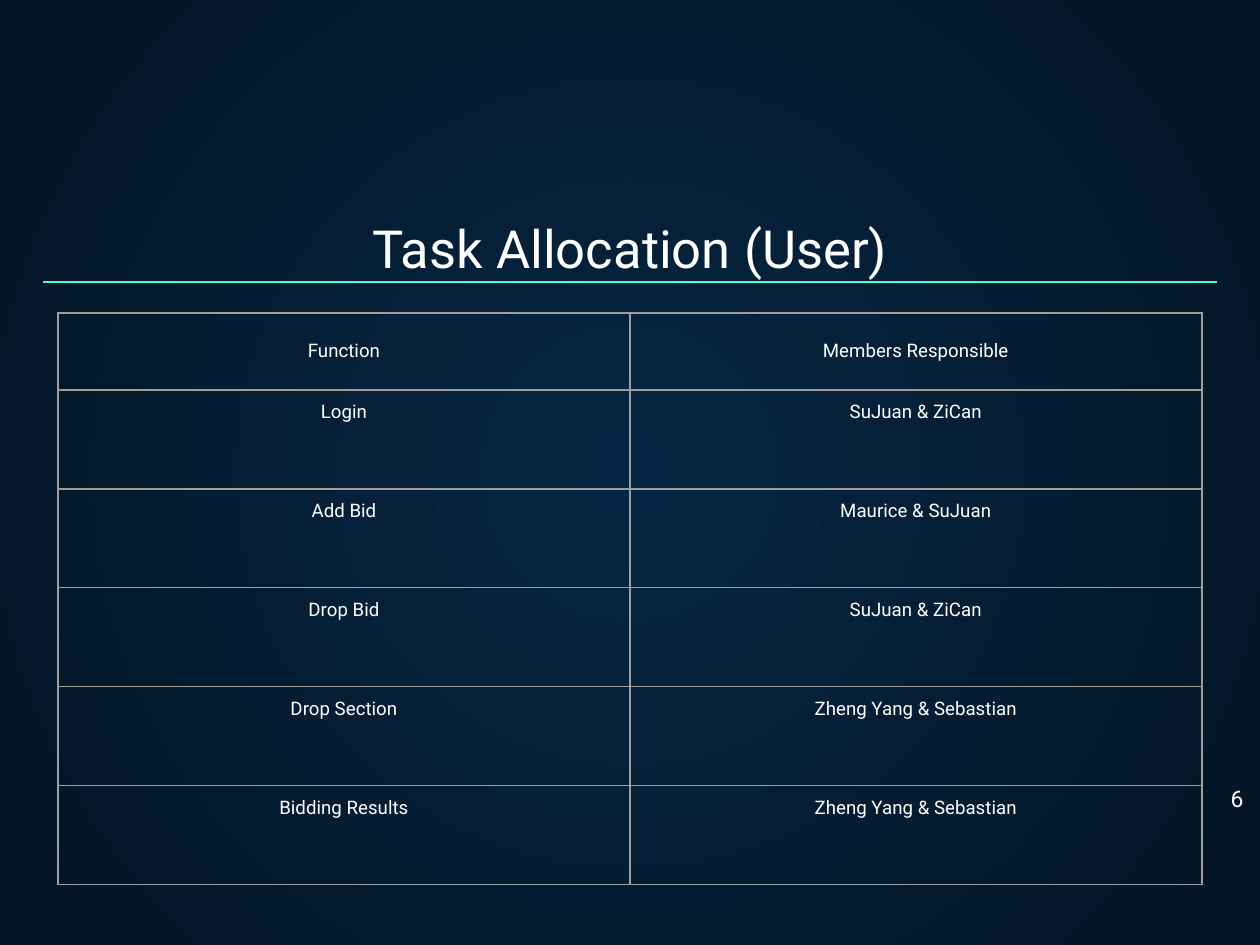
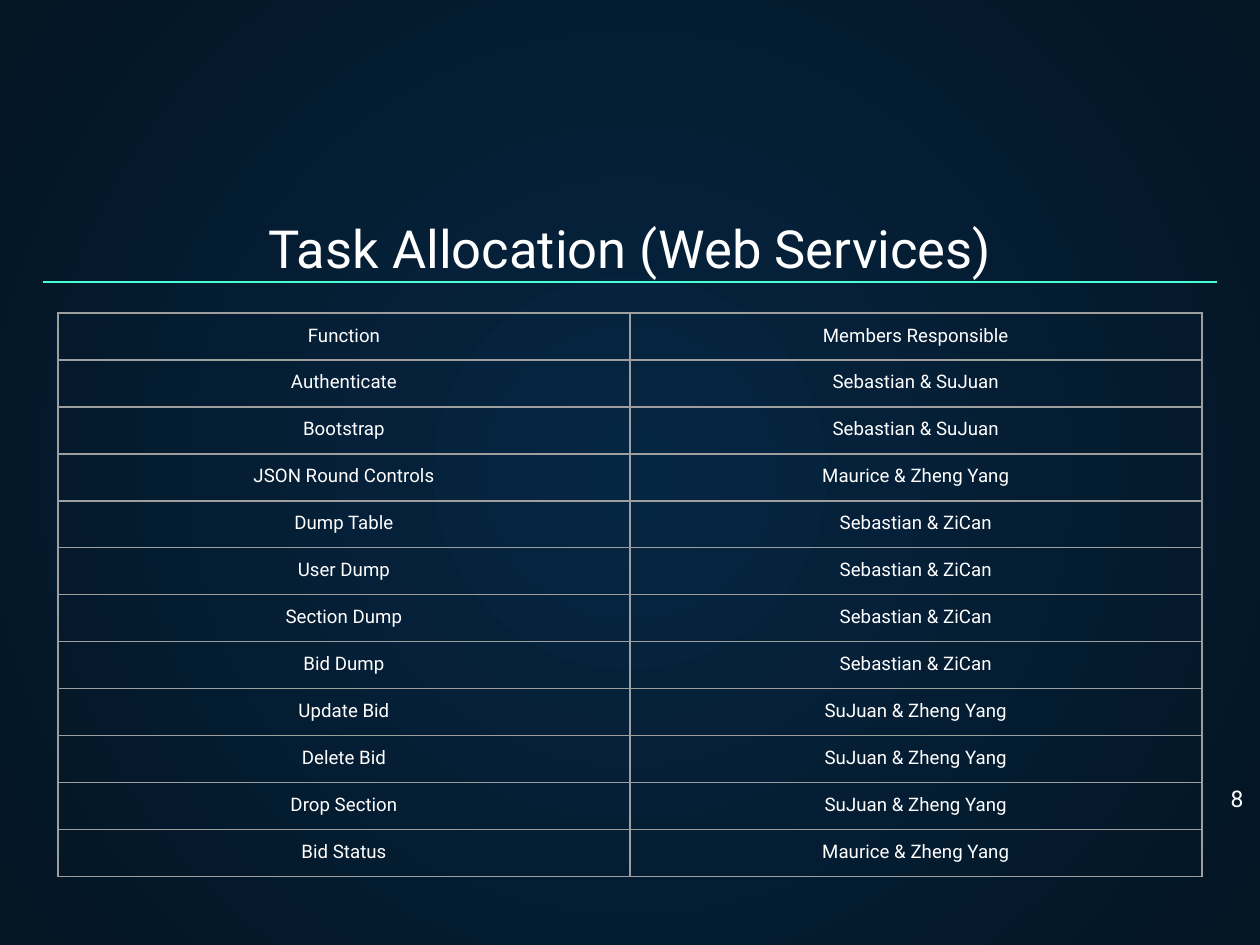
"""Build the two task allocation slides."""
import pptx
import pptx.dml.color
import pptx.enum.shapes
import pptx.enum.text
import pptx.oxml
import pptx.oxml.ns
import pptx.util

Pt = pptx.util.Pt
Align = pptx.enum.text.PP_ALIGN
Anchor = pptx.enum.text.MSO_ANCHOR
WHITE, MINT, GREY = "FFFFFF", "48FFD5", "9E9E9E"
GLOW, NIGHT = "052643", "041523"
NAMESPACE = pptx.oxml.ns.nsdecls("a")


def color(hex_text):
    return pptx.dml.color.RGBColor.from_string(hex_text)


def write(holder, text, size=8, align=Align.CENTER, anchor=Anchor.TOP):
    """Fill a text frame or a table cell with one formatted paragraph."""
    holder.margin_left = holder.margin_right = Pt(5)
    holder.margin_top = holder.margin_bottom = Pt(5)
    holder.vertical_anchor = anchor
    holder.word_wrap = True
    para = getattr(holder, "text_frame", holder).paragraphs[0]
    para.alignment = align
    span = para.add_run()
    span.text = text
    span.font.name = "Roboto"
    span.font.size = Pt(size)
    span.font.color.rgb = color(WHITE)


HEADER = ("Function", "Members Responsible")
PAGES = [
    {
        "title": "Task Allocation (User)",
        "number": "6",
        "header_height": 33,
        "row_height": 42.4,
        "tasks": [
            ("Login", "SuJuan & ZiCan"),
            ("Add Bid", "Maurice & SuJuan"),
            ("Drop Bid", "SuJuan & ZiCan"),
            ("Drop Section", "Zheng Yang & Sebastian"),
            ("Bidding Results", "Zheng Yang & Sebastian"),
        ],
    },
    {
        "title": "Task Allocation (Web Services)",
        "number": "8",
        "header_height": 20.15,
        "row_height": 20.15,
        "tasks": [
            ("Authenticate", "Sebastian & SuJuan"),
            ("Bootstrap", "Sebastian & SuJuan"),
            ("JSON Round Controls", "Maurice & Zheng Yang"),
            ("Dump Table", "Sebastian & ZiCan"),
            ("User Dump", "Sebastian & ZiCan"),
            ("Section Dump", "Sebastian & ZiCan"),
            ("Bid Dump", "Sebastian & ZiCan"),
            ("Update Bid", "SuJuan & Zheng Yang"),
            ("Delete Bid", "SuJuan & Zheng Yang"),
            ("Drop Section", "SuJuan & Zheng Yang"),
            ("Bid Status", "Maurice & Zheng Yang"),
        ],
    },
]

deck = pptx.Presentation()
deck.slide_width, deck.slide_height = Pt(540), Pt(405)

backdrop = deck.slide_master.background.fill
backdrop.gradient()
for stop, shade in zip(backdrop.gradient_stops, (GLOW, NIGHT)):
    stop.color.rgb = color(shade)
linear = deck.slide_master.element.find(".//" + pptx.oxml.ns.qn("a:lin"))
linear.getparent().replace(linear, pptx.oxml.parse_xml(
    f'<a:path {NAMESPACE} path="circle">'
    '<a:fillToRect l="50000" t="50000" r="50000" b="50000"/></a:path>'))

for content in PAGES:
    page = deck.slides.add_slide(deck.slide_layouts[6])

    title_box = page.shapes.add_textbox(Pt(18.5), Pt(88.5), Pt(503), Pt(36))
    write(title_box.text_frame, content["title"], size=22.5, anchor=Anchor.BOTTOM)

    rule = page.shapes.add_connector(
        pptx.enum.shapes.MSO_CONNECTOR.STRAIGHT,
        Pt(18.5), Pt(120.9), Pt(521.5), Pt(120.9))
    rule.line.color.rgb = color(MINT)
    rule.line.width = Pt(0.75)
    rule.element.spPr.append(pptx.oxml.parse_xml(f"<a:effectLst {NAMESPACE}/>"))

    number_box = page.shapes.add_textbox(Pt(505.5), Pt(331.2), Pt(32.4), Pt(23))
    write(number_box.text_frame, content["number"], size=9.8, align=Align.RIGHT)

    rows = [HEADER] + content["tasks"]
    heights = [content["header_height"]] + [content["row_height"]] * len(content["tasks"])
    table = page.shapes.add_table(
        len(rows), 2, Pt(24.9), Pt(134.1), Pt(490.2), Pt(sum(heights))).table
    table.first_row = table.horz_banding = False
    for row_index, (labels, height) in enumerate(zip(rows, heights)):
        table.rows[row_index].height = Pt(height)
        for column_index, label in enumerate(labels):
            cell = table.cell(row_index, column_index)
            write(cell, label, anchor=Anchor.TOP if row_index else Anchor.MIDDLE)
            borders = cell._tc.get_or_add_tcPr()
            for side in "LRTB":
                borders.append(pptx.oxml.parse_xml(
                    f'<a:ln{side} {NAMESPACE} w="{Pt(0.75)}"><a:solidFill>'
                    f'<a:srgbClr val="{GREY}"/></a:solidFill></a:ln{side}>'))
            cell.fill.background()

deck.save("out.pptx")
